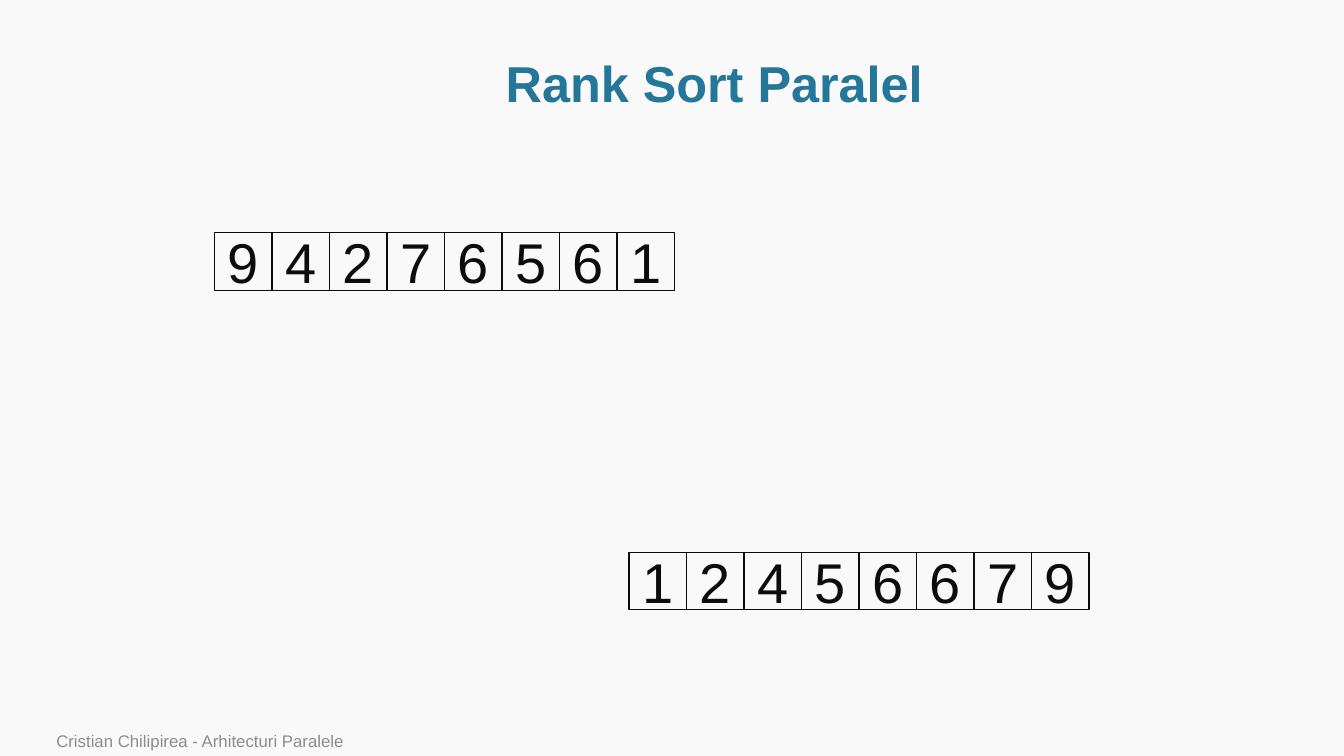
"""Builds the parallel rank sort slide with its unsorted and sorted arrays."""
from pptx import Presentation
from pptx.dml.color import RGBColor
from pptx.enum.shapes import MSO_SHAPE
from pptx.enum.text import MSO_ANCHOR, PP_ALIGN
from pptx.util import Pt

RECTANGLE = MSO_SHAPE.RECTANGLE
MIDDLE, BOTTOM = MSO_ANCHOR.MIDDLE, MSO_ANCHOR.BOTTOM
LEFT, CENTER = PP_ALIGN.LEFT, PP_ALIGN.CENTER
PX = 9144
INK = "0C0C0C"
CELL = 57


def color(value):
    return RGBColor.from_string(value)


def write(holder, text, anchor, align, hue, font_format):
    frame = holder.text_frame
    frame.text = text
    frame.word_wrap = True
    frame.vertical_anchor = anchor
    paragraph = frame.paragraphs[0]
    paragraph.alignment = align
    font = paragraph.runs[0].font
    for attribute, value in {"name": "Arial", **font_format}.items():
        setattr(font, attribute, value)
    font.color.rgb = color(hue)


deck = Presentation()
deck.slide_width, deck.slide_height = 1333 * PX, 750 * PX
slide = deck.slides.add_slide(deck.slide_layouts[5])
slide.background.fill.solid()
slide.background.fill.fore_color.rgb = color("F9F9F9")

title = slide.shapes.title
title_place = {"left": 114, "top": 51, "width": 1189, "height": 69}
for side, length in title_place.items():
    setattr(title, side, length * PX)
write(title, "Rank Sort Paralel", MIDDLE, CENTER, "247798",
      {"size": Pt(36), "bold": True})
title.text_frame.paragraphs[0].line_spacing = 0.9

unsorted_values = [9, 4, 2, 7, 6, 5, 6, 1]
arrays = [(213, 231, unsorted_values), (624, 548, sorted(unsorted_values))]
for array_left, array_top, values in arrays:
    for index, value in enumerate(values):
        cell = slide.shapes.add_shape(
            RECTANGLE, (array_left + index * CELL) * PX, array_top * PX,
            CELL * PX, CELL * PX)
        cell.shadow.inherit = False
        cell.fill.background()
        cell.line.color.rgb = color(INK)
        cell.line.width = Pt(1)
        write(cell, str(value), MIDDLE, CENTER, INK, {"size": Pt(40)})

footer = slide.shapes.add_textbox(46 * PX, 722 * PX, 982 * PX, 28 * PX)
write(footer, "Cristian Chilipirea - Arhitecturi Paralele", BOTTOM, LEFT,
      "8C8C8C", {"size": Pt(12)})

deck.save("out.pptx")
